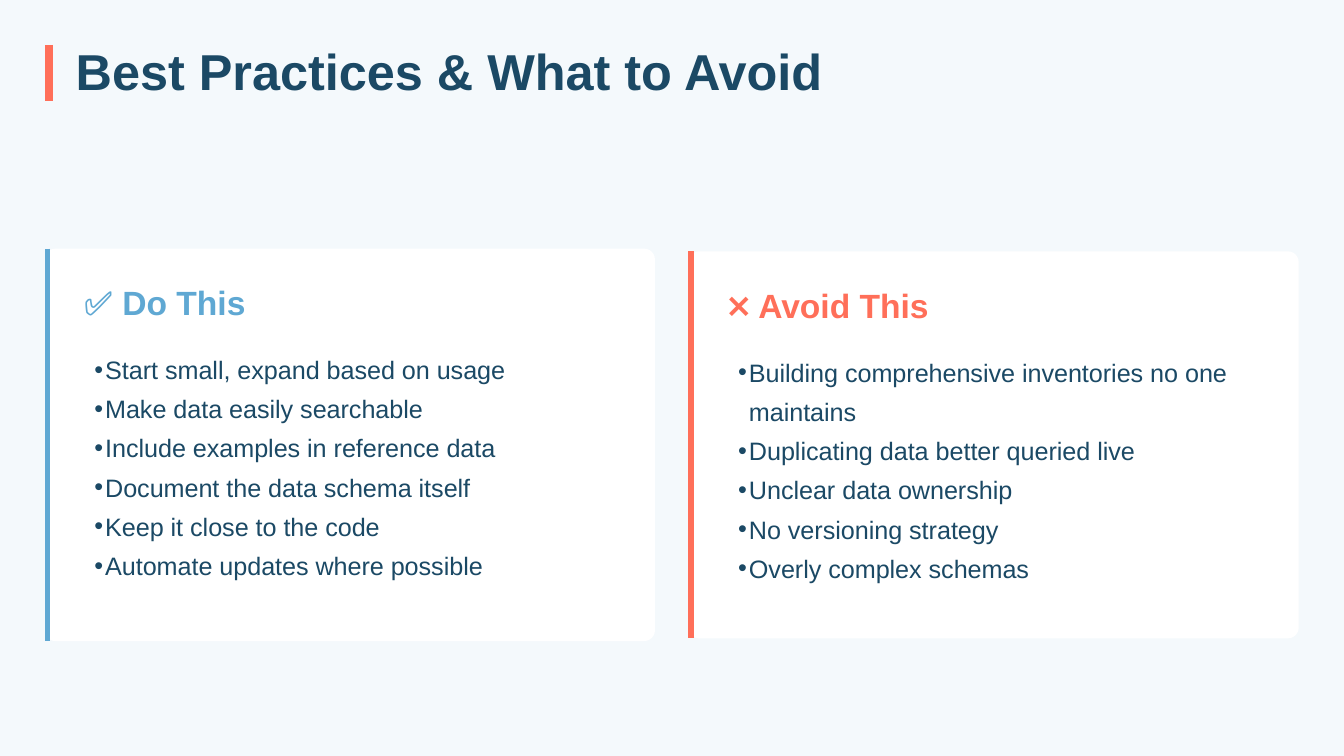
from lxml.etree import SubElement
from pptx import Presentation
from pptx.dml.color import RGBColor
from pptx.enum.shapes import MSO_CONNECTOR, MSO_SHAPE
from pptx.enum.text import MSO_ANCHOR, MSO_AUTO_SIZE, PP_ALIGN
from pptx.oxml.ns import qn
from pptx.util import Inches, Pt

# Content
TITLE = "Best Practices & What to Avoid"
CARDS = [
    ("✅ Do This", "5FA8D3", 2.92, [
        "Start small, expand based on usage",
        "Make data easily searchable",
        "Include examples in reference data",
        "Document the data schema itself",
        "Keep it close to the code",
        "Automate updates where possible",
    ]),
    ("❌ Avoid This", "FF6F59", 2.88, [
        "Building comprehensive inventories no one maintains",
        "Duplicating data better queried live",
        "Unclear data ownership",
        "No versioning strategy",
        "Overly complex schemas",
    ]),
]

# Layout in inches, on a 16:9 slide
WIDE = 10
HIGH = WIDE * 9 / 16
LEFT, CARD, STEP, MID = WIDE / 30, 4.54, 4.79, 3.31
ROUND, PAD, INDENT = 0.08, 0.29, 0.08
INK, CORAL, WHITE, PAPER = "1B4965", "FF6F59", "FFFFFF", "F4F9FC"


def color(code):
    return RGBColor.from_string(code)


def bar(x, top, end, code, width):
    line = slide.shapes.add_connector(
        MSO_CONNECTOR.STRAIGHT, Inches(x), Inches(top), Inches(x), Inches(end))
    line.line.color.rgb = color(code)
    line.line.width = Pt(width)
    SubElement(line._element.spPr, qn("a:effectLst"))


def frame(shape, inset=0):
    text = shape.text_frame
    text.word_wrap = True
    text.auto_size = MSO_AUTO_SIZE.NONE
    text.vertical_anchor = MSO_ANCHOR.TOP
    text.margin_left = Inches(inset)
    text.margin_top = text.margin_right = text.margin_bottom = 0
    return text


def box(x, y, w, h, inset=0):
    return frame(slide.shapes.add_textbox(
        Inches(x), Inches(y), Inches(w), Inches(h)), inset)


def write(para, words, size, code, space, bold=False):
    para.alignment = PP_ALIGN.LEFT
    para.line_spacing = Pt(space)
    run = para.add_run()
    run.text = words
    font = run.font
    font.name, font.size, font.bold = "Arial", Pt(size), bold
    font.color.rgb = color(code)


def bullet(para):
    props = para._p.get_or_add_pPr()
    props.set("marL", str(Inches(INDENT)))
    props.set("indent", str(-Inches(INDENT)))
    SubElement(props, qn("a:buSzPct"), val="100000")
    SubElement(props, qn("a:buFont"), typeface="Arial")
    SubElement(props, qn("a:buChar"), char="•")


deck = Presentation()
deck.slide_width, deck.slide_height = Inches(WIDE), Inches(HIGH)
slide = deck.slides.add_slide(deck.slide_layouts[5])
slide.background.fill.solid()
slide.background.fill.fore_color.rgb = color(PAPER)

# Title with its accent bar
bar(LEFT + 0.03, LEFT, 0.75, CORAL, 4.5)
title = slide.shapes.title
title.left, title.top = Inches(LEFT + 0.23), Inches(LEFT)
title.width, title.height = Inches(5.67), Inches(0.42)
write(frame(title).paragraphs[0], TITLE, 27, INK, 30, True)

# Cards, centred on one line
for col, (head, code, tall, items) in enumerate(CARDS):
    x, top = LEFT + col * STEP, MID - tall / 2
    card = slide.shapes.add_shape(
        MSO_SHAPE.ROUNDED_RECTANGLE,
        Inches(x), Inches(top), Inches(CARD), Inches(tall))
    card.adjustments[0] = ROUND / tall
    card.shadow.inherit = False
    card.fill.solid()
    card.fill.fore_color.rgb = color(WHITE)
    card.line.fill.background()
    bar(x + 0.02, top, top + tall, code, 3)

    # Heading
    para = box(x + PAD, top + 0.25, 4.08, 0.3).paragraphs[0]
    para.space_after = Pt(12)
    write(para, head, 18, code, 21.6, True)

    # Bullet list
    text = box(x + PAD, top + 0.72, 4, tall - 0.96, INDENT)
    for row, item in enumerate(items):
        para = text.add_paragraph() if row else text.paragraphs[0]
        write(para, item, 13.5, INK, 21)
        bullet(para)

deck.save("out.pptx")
